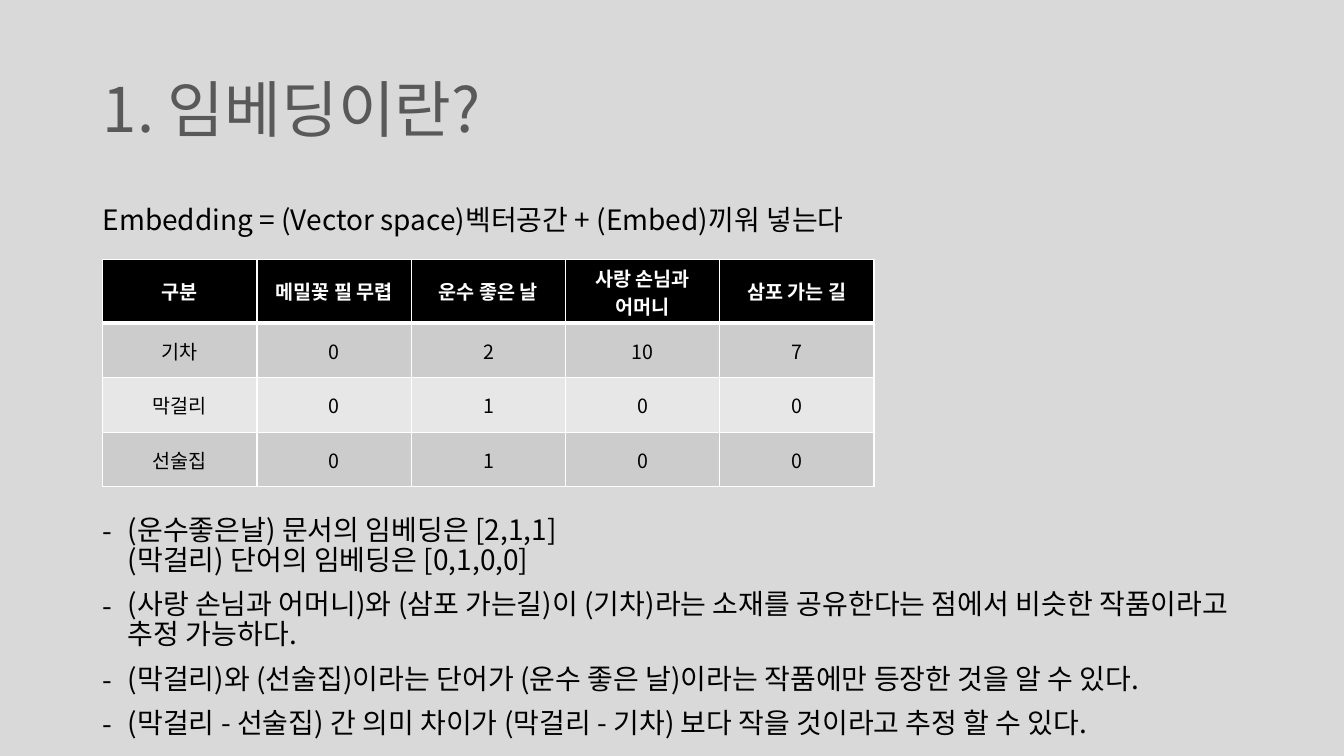
import dataclasses

import lxml.etree
import pptx
import pptx.dml.color
import pptx.enum.text
import pptx.oxml.ns
import pptx.util

WIDTH, HEIGHT = pptx.util.Inches(13.33), pptx.util.Inches(7.5)
ALIGN = pptx.enum.text.PP_ALIGN
MIDDLE = pptx.enum.text.MSO_ANCHOR.MIDDLE


@dataclasses.dataclass(frozen=True)
class Theme:
    font: str = "Noto Sans CJK KR"
    background: str = "D9D9D9"
    title: str = "595959"
    ink: str = "000000"
    paper: str = "FFFFFF"
    bands: tuple = ("CCCCCC", "E7E7E7")
    title_size: int = 44
    body_size: int = 20
    table_size: int = 14


THEME = Theme()
LEFT, CONTENT_WIDTH = 0.069, 0.863
HEADER_HEIGHT, ROW_HEIGHT = 0.0845, 0.0722
TITLE = "1. 임베딩이란?"
DEFINITION = "Embedding = (Vector space)벡터공간 + (Embed)끼워 넣는다"
WORD_COUNTS = (
    ("구분", "메밀꽃 필 무렵", "운수 좋은 날", "사랑 손님과 어머니", "삼포 가는 길"),
    ("기차", 0, 2, 10, 7),
    ("막걸리", 0, 1, 0, 0),
    ("선술집", 0, 1, 0, 0),
)
FINDINGS = (
    "(운수좋은날) 문서의 임베딩은 [2,1,1]\v(막걸리) 단어의 임베딩은 [0,1,0,0]",
    "(사랑 손님과 어머니)와 (삼포 가는길)이 (기차)라는 소재를 공유한다는 점에서 비슷한 작품이라고 추정 가능하다.",
    "(막걸리)와 (선술집)이라는 단어가 (운수 좋은 날)이라는 작품에만 등장한 것을 알 수 있다.",
    "(막걸리 - 선술집) 간 의미 차이가 (막걸리 - 기차) 보다 작을 것이라고 추정 할 수 있다.",
)


def color(value):
    return pptx.dml.color.RGBColor.from_string(value)


def apply(target, values):
    for name, value in values.items():
        setattr(target, name, value)


def share(left, top, width, height):
    return [round(part * whole) for part, whole in
            zip((left, top, width, height), (WIDTH, HEIGHT, WIDTH, HEIGHT))]


def add_child(parent, tag, **attributes):
    return lxml.etree.SubElement(parent, pptx.oxml.ns.qn(tag), attributes)


def write(para, text, size, ink, bold=False, **layout):
    para.text = text
    apply(para, layout)
    for span in para.runs:
        apply(span.font, {"name": THEME.font, "size": pptx.util.Pt(size), "bold": bold})
        span.font.color.rgb = color(ink)
        add_child(span.font._element, "a:ea", typeface=THEME.font)


def add_dash(para):
    properties = para._p.get_or_add_pPr()
    indent = pptx.util.Inches(0.25)
    for name, value in {"marL": indent, "indent": -indent}.items():
        properties.set(name, str(value))
    add_child(properties, "a:buFont", typeface=THEME.font)
    add_child(properties, "a:buChar", char="-")


def add_title(slide, text):
    title = slide.shapes.title
    apply(title, dict(zip(("left", "top", "width", "height"),
                          share(LEFT, 0.053, CONTENT_WIDTH, 0.193))))
    title.text_frame.vertical_anchor = MIDDLE
    write(title.text_frame.paragraphs[0], text, THEME.title_size, THEME.title,
          alignment=ALIGN.LEFT, line_spacing=0.9)


def add_text(slide, top, height, lines, dashed=False):
    box = slide.shapes.add_textbox(*share(LEFT, top, CONTENT_WIDTH, height))
    frame = box.text_frame
    frame.word_wrap = True
    for index, line in enumerate(lines):
        para = frame.add_paragraph() if index else frame.paragraphs[0]
        write(para, line, THEME.body_size, THEME.ink,
              line_spacing=0.9, space_before=pptx.util.Pt(10))
        if dashed:
            add_dash(para)


def add_borders(cell, widths):
    properties = cell._tc.get_or_add_tcPr()
    for side, width in widths.items():
        line = add_child(properties, "a:ln" + side, w=str(pptx.util.Pt(width)))
        add_child(add_child(line, "a:solidFill"), "a:srgbClr", val=THEME.paper)


def add_word_table(slide, rows):
    heights = [HEADER_HEIGHT] + [ROW_HEIGHT] * (len(rows) - 1)
    place = share(0.0765, 0.343, 0.574, sum(heights))
    table = slide.shapes.add_table(len(rows), len(rows[0]), *place).table
    for row, values in enumerate(rows):
        header = row == 0
        table.rows[row].height = round(heights[row] * HEIGHT)
        fill = THEME.ink if header else THEME.bands[(row - 1) % 2]
        for column, value in enumerate(values):
            cell = table.cell(row, column)
            apply(cell, {"vertical_anchor": MIDDLE,
                         "margin_left": pptx.util.Inches(0.08),
                         "margin_right": pptx.util.Inches(0.08),
                         "margin_top": pptx.util.Inches(0.04),
                         "margin_bottom": pptx.util.Inches(0.04)})
            add_borders(cell, {"L": 1, "R": 1, "T": 3 if row == 1 else 1,
                               "B": 3 if header else 1})
            cell.fill.solid()
            cell.fill.fore_color.rgb = color(fill)
            write(cell.text_frame.paragraphs[0], str(value), THEME.table_size,
                  THEME.paper if header else THEME.ink, bold=header,
                  alignment=ALIGN.CENTER)


def main():
    deck = pptx.Presentation()
    apply(deck, {"slide_width": WIDTH, "slide_height": HEIGHT})
    slide = deck.slides.add_slide(deck.slide_layouts.get_by_name("Title Only"))
    slide.background.fill.solid()
    slide.background.fill.fore_color.rgb = color(THEME.background)
    add_title(slide, TITLE)
    add_text(slide, 0.267, 0.07, [DEFINITION])
    add_word_table(slide, WORD_COUNTS)
    add_text(slide, 0.676, 0.3, FINDINGS, dashed=True)
    deck.save("out.pptx")


main()
